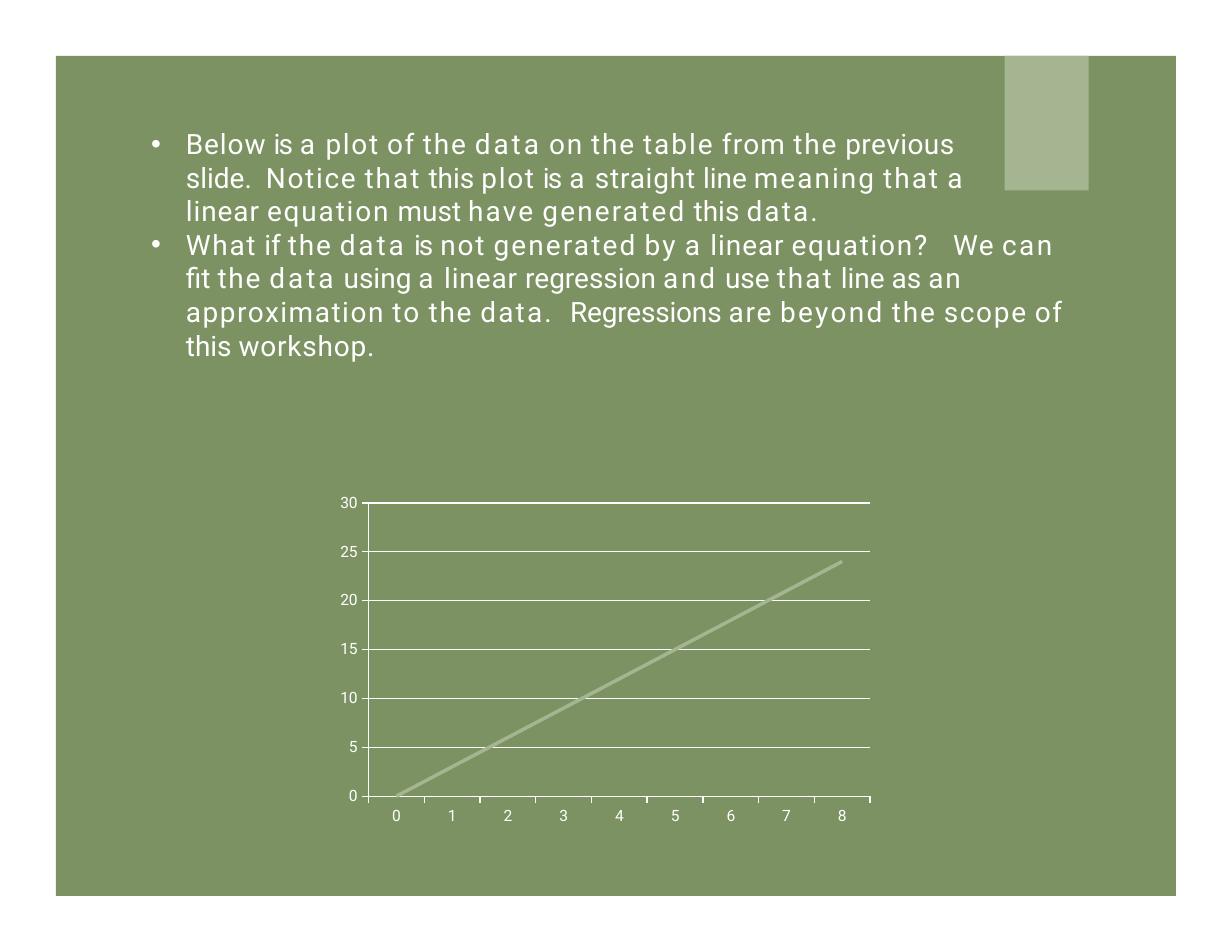
from pptx import Presentation
from pptx.chart.data import CategoryChartData
from pptx.dml.color import RGBColor
from pptx.enum.chart import XL_CHART_TYPE, XL_MARKER_STYLE, XL_TICK_MARK
from pptx.enum.shapes import MSO_SHAPE
from pptx.enum.text import MSO_ANCHOR, MSO_AUTO_SIZE, PP_ALIGN
from pptx.oxml import parse_xml
from pptx.oxml.ns import nsdecls, qn
from pptx.util import Inches, Pt

RECT = MSO_SHAPE.RECTANGLE
LINE = XL_CHART_TYPE.LINE
NO_MARKER = XL_MARKER_STYLE.NONE
OUTSIDE, NO_TICK = XL_TICK_MARK.OUTSIDE, XL_TICK_MARK.NONE
TOP, NO_FIT = MSO_ANCHOR.TOP, MSO_AUTO_SIZE.NONE
LEFT = PP_ALIGN.LEFT

THEME = {
    "font": "Roboto",
    "text": RGBColor(0xFF, 0xFF, 0xFF),
    "panel": RGBColor(0x7D, 0x92, 0x63),
    "accent": RGBColor(0xA5, 0xB5, 0x92),
    "body": Pt(18),
    "axis": Pt(10),
    "grid_line": Pt(0.85),
    "data_line": Pt(2.25),
}

# Letter spacing in points, and the words that carry it; all others have none
TRACKING = {
    -1.2: "is",
    -0.1: "Regressions",
    0.3: "previous",
    0.5: "straight workshop.",
    0.6: "Below linear",
    0.8: "from",
    0.9: "We",
    1: "approximation of",
    1.1: "plot Notice What equation? are scope",
    1.2: "the on equation not an",
    1.3: "table that meaning",
    1.4: "have generated by to data.",
    1.5: "beyond",
    1.6: "can",
    1.8: "and",
    1.9: "data",
    2.2: "a",
}
SPACING = {word: pts for pts, words in TRACKING.items() for word in words.split()}

# Text, right margin and tab stops in inches
BULLETS = [
    ("Below is a plot of the data on the table from the previous slide.  Notice that "
     "this plot is a straight line meaning that a linear equation must have generated "
     "this data.", 0.85, [0.33]),
    ("What if the data is not generated by a linear equation?\tWe can fit the data "
     "using a linear regression and use that line as an approximation to the "
     "data.\tRegressions are beyond the scope of this workshop.",
     0, [0.33, 3.76, 7.18]),
]


def set_font(font, size):
    for name, value in {"name": THEME["font"], "size": size, "bold": False}.items():
        setattr(font, name, value)
    font.color.rgb = THEME["text"]


def set_line(line, color, width):
    line.color.rgb = color
    line.width = width


prs = Presentation()
prs.slide_width, prs.slide_height = Inches(11), Inches(8.5)
s = prs.slides.add_slide(prs.slide_layouts[1])
title, body = s.placeholders
title.element.getparent().remove(title.element)

# Background panel and corner tab
for box, color in [((0.5, 0.5, 10, 7.5), "panel"), ((8.97, 0.5, 0.75, 1.2), "accent")]:
    sp = s.shapes.add_shape(RECT, *map(Inches, box))
    sp.shadow.inherit = False
    sp.fill.solid()
    sp.fill.fore_color.rgb = THEME[color]
    sp.line.fill.background()

# Bulleted body text, brought in front of the panel
s.shapes.element.append(body.element)
for name, value in zip(("left", "top", "width", "height"), (1.33, 1.11, 8.28, 2.13)):
    setattr(body, name, Inches(value))
tf = body.text_frame
frame = {"margin_left": 0, "margin_right": 0, "margin_top": Inches(0.02),
         "margin_bottom": 0, "word_wrap": True, "auto_size": NO_FIT,
         "vertical_anchor": TOP}
for name, value in frame.items():
    setattr(tf, name, value)

for i, (text, right, tabs) in enumerate(BULLETS):
    p = tf.add_paragraph() if i else tf.paragraphs[0]
    p.alignment = LEFT
    p.space_before = Pt(0)
    pPr = p._p.get_or_add_pPr()
    for name, value in {"marL": 0.33, "marR": right, "indent": -0.31}.items():
        pPr.set(name, str(Inches(value)))
    stops = "".join(f'<a:tab pos="{Inches(t)}" algn="l"/>' for t in tabs)
    pPr.append(parse_xml(f'<a:buChar {nsdecls("a")} char="•"/>'))
    pPr.append(parse_xml(f'<a:tabLst {nsdecls("a")}>{stops}</a:tabLst>'))
    # Words are tracked, the gaps between them are not
    pieces = []
    for word in text.split(" "):
        pieces += [*word.partition("\t"), " "]
    for piece in filter(None, pieces[:-1]):
        r = p.add_run()
        r.text = piece
        set_font(r.font, THEME["body"])
        r._r.get_or_add_rPr().set("spc", str(round(SPACING.get(piece, 0) * 100)))

# Line chart: y = 3x
data = CategoryChartData()
data.categories = [str(x) for x in range(9)]
data.add_series("y", [3 * x for x in range(9)])
left, top, width, height = 2.8, 4.3, 5.2, 3.2
chart = s.shapes.add_chart(LINE, *map(Inches, (left, top, width, height)), data).chart
chart.has_title = chart.has_legend = False
set_font(chart.font, THEME["axis"])

series = chart.plots[0].series[0]
series.smooth = False
series.marker.style = NO_MARKER
set_line(series.format.line, THEME["accent"], THEME["data_line"])
chart.plots[0].vary_by_categories = False

# Axes and gridlines
for axis in (chart.category_axis, chart.value_axis):
    axis.major_tick_mark = OUTSIDE
    axis.minor_tick_mark = NO_TICK
    set_line(axis.format.line, THEME["text"], THEME["grid_line"])
for name, value in {"minimum_scale": 0, "maximum_scale": 30, "major_unit": 5,
                    "has_major_gridlines": True}.items():
    setattr(chart.value_axis, name, value)
set_line(chart.value_axis.major_gridlines.format.line, THEME["text"], THEME["grid_line"])

# Plot area fixed within the chart frame
plot = {"x": (3.29 - left) / width, "y": (4.49 - top) / height,
        "w": 4.48 / width, "h": 2.62 / height}
parts = "".join(f'<c:{m}Mode val="edge"/>' for m in "xy")
parts += "".join(f'<c:{k} val="{v:.4f}"/>' for k, v in plot.items())
area = chart.element.find(".//" + qn("c:plotArea"))
for old in area.findall(qn("c:layout")):
    area.remove(old)
area.insert(0, parse_xml(
    f'<c:layout {nsdecls("c")}><c:manualLayout><c:layoutTarget val="inner"/>'
    f'{parts}</c:manualLayout></c:layout>'))

prs.save("out.pptx")
